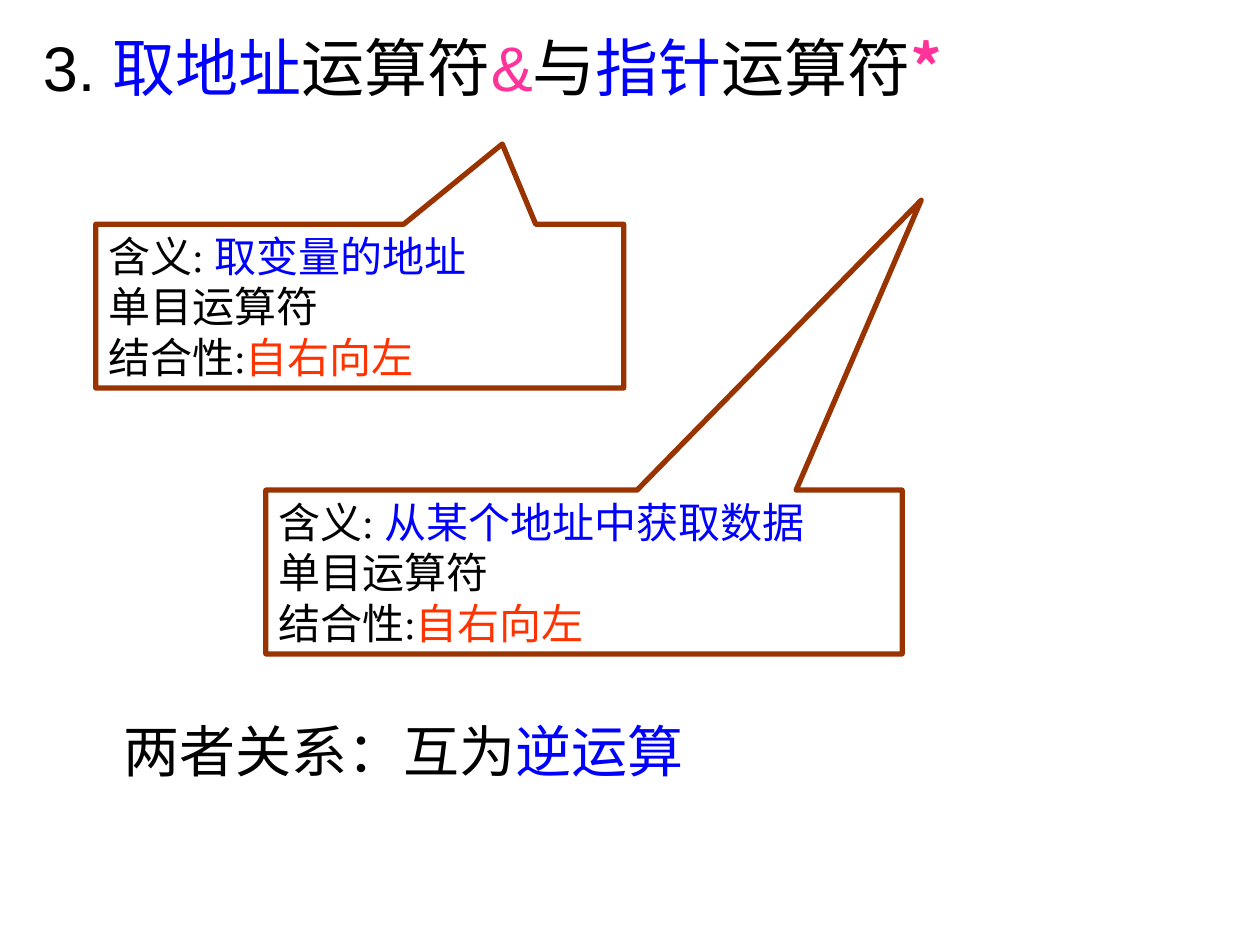
import pptx
from dataclasses import dataclass
from lxml import etree
from pptx.dml.color import RGBColor
from pptx.enum.shapes import MSO_SHAPE
from pptx.enum.text import MSO_ANCHOR, MSO_AUTO_SIZE, PP_ALIGN
from pptx.oxml.ns import qn
from pptx.util import Inches, Pt


@dataclass(frozen=True)
class Theme:
    ink: str = "000000"
    term: str = "0000FF"
    operator: str = "FF3399"
    direction: str = "FF3300"
    border: str = "993300"
    paper: str = "FFFFFF"
    title_size: int = 36
    note_size: int = 24
    relation_size: int = 32
    title_font: str = "Arial"
    text_font: str = "Times New Roman"
    asian_font: str = "Noto Sans CJK KR"


THEME = Theme()


def write_runs(paragraph, pieces, size, font):
    """Write (text, colour) pieces as runs of one size and font."""
    paragraph.alignment = PP_ALIGN.LEFT
    for text, colour in pieces:
        run = paragraph.add_run()
        run.text = text
        run.font.size = Pt(size)
        run.font.color.rgb = RGBColor.from_string(colour)
        run.font.name = font
        asian = etree.SubElement(run.font._element, qn("a:ea"))
        asian.set("typeface", THEME.asian_font)


def add_title(slide, pieces):
    title = slide.shapes.title
    title.left, title.top = Inches(0.24), Inches(0.21)
    title.width, title.height = Inches(8.5), Inches(0.63)
    frame = title.text_frame
    frame.auto_size = MSO_AUTO_SIZE.NONE
    frame.vertical_anchor = MSO_ANCHOR.MIDDLE
    heading = frame.paragraphs[0]
    write_runs(heading, pieces, THEME.title_size, THEME.title_font)
    # The asterisk stands out in a bold face
    asterisk = heading.runs[-1].font
    asterisk.name, asterisk.bold = THEME.asian_font, True


def add_operator_callout(slide, left, top, width, pointer, meaning):
    """Box explaining one operator, with its pointer aimed at the title."""
    callout = slide.shapes.add_shape(
        MSO_SHAPE.RECTANGULAR_CALLOUT,
        Inches(left), Inches(top), Inches(width), Inches(1.3))
    callout.adjustments[0], callout.adjustments[1] = pointer
    callout.shadow.inherit = False
    callout.fill.solid()
    callout.fill.fore_color.rgb = RGBColor.from_string(THEME.paper)
    callout.line.color.rgb = RGBColor.from_string(THEME.border)
    callout.line.width = Pt(3)

    frame = callout.text_frame
    frame.word_wrap = True
    frame.vertical_anchor = MSO_ANCHOR.MIDDLE
    facts = [
        [("含义: ", THEME.ink), (meaning, THEME.term)],
        [("单目运算符", THEME.ink)],
        [("结合性:", THEME.ink), ("自右向左", THEME.direction)],
    ]
    for index, fact in enumerate(facts):
        paragraph = frame.add_paragraph() if index else frame.paragraphs[0]
        write_runs(paragraph, fact, THEME.note_size, THEME.text_font)


def add_relation(slide, pieces):
    relation = slide.shapes.add_textbox(
        Inches(0.88), Inches(5.64), Inches(5.6), Inches(0.57))
    relation.text_frame.word_wrap = True
    sentence = relation.text_frame.paragraphs[0]
    sentence.space_before = Pt(8)
    write_runs(sentence, pieces, THEME.relation_size, THEME.text_font)


def main():
    deck = pptx.Presentation()
    deck.slide_width, deck.slide_height = Inches(10), Inches(7.5)
    title_only = deck.slide_layouts[5]
    slide = deck.slides.add_slide(title_only)

    # Heading naming both operators
    add_title(slide, [
        ("3. ", THEME.ink), ("取地址", THEME.term), ("运算符", THEME.ink),
        ("&", THEME.operator), ("与", THEME.ink), ("指针", THEME.term),
        ("运算符", THEME.ink), ("*", THEME.operator),
    ])

    # One callout for each operator
    add_operator_callout(slide, 0.76, 1.78, 4.19, (0.27, -0.99), "取变量的地址")
    add_operator_callout(slide, 2.11, 3.89, 5.05, (0.53, -2.27), "从某个地址中获取数据")

    # How the two operators relate
    add_relation(slide, [("两者关系：互为", THEME.ink), ("逆运算", THEME.term)])

    deck.save("out.pptx")


if __name__ == "__main__":
    main()
